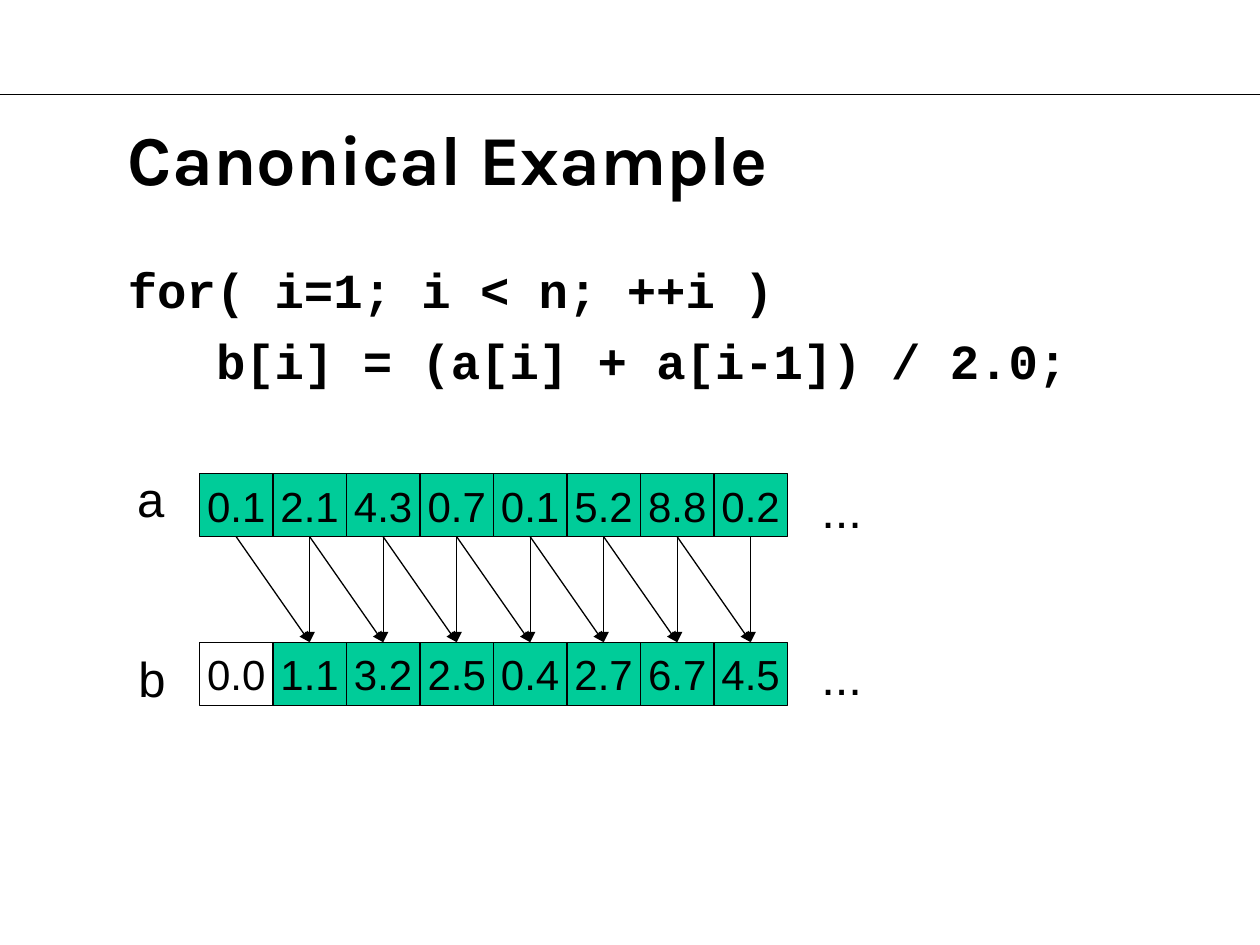
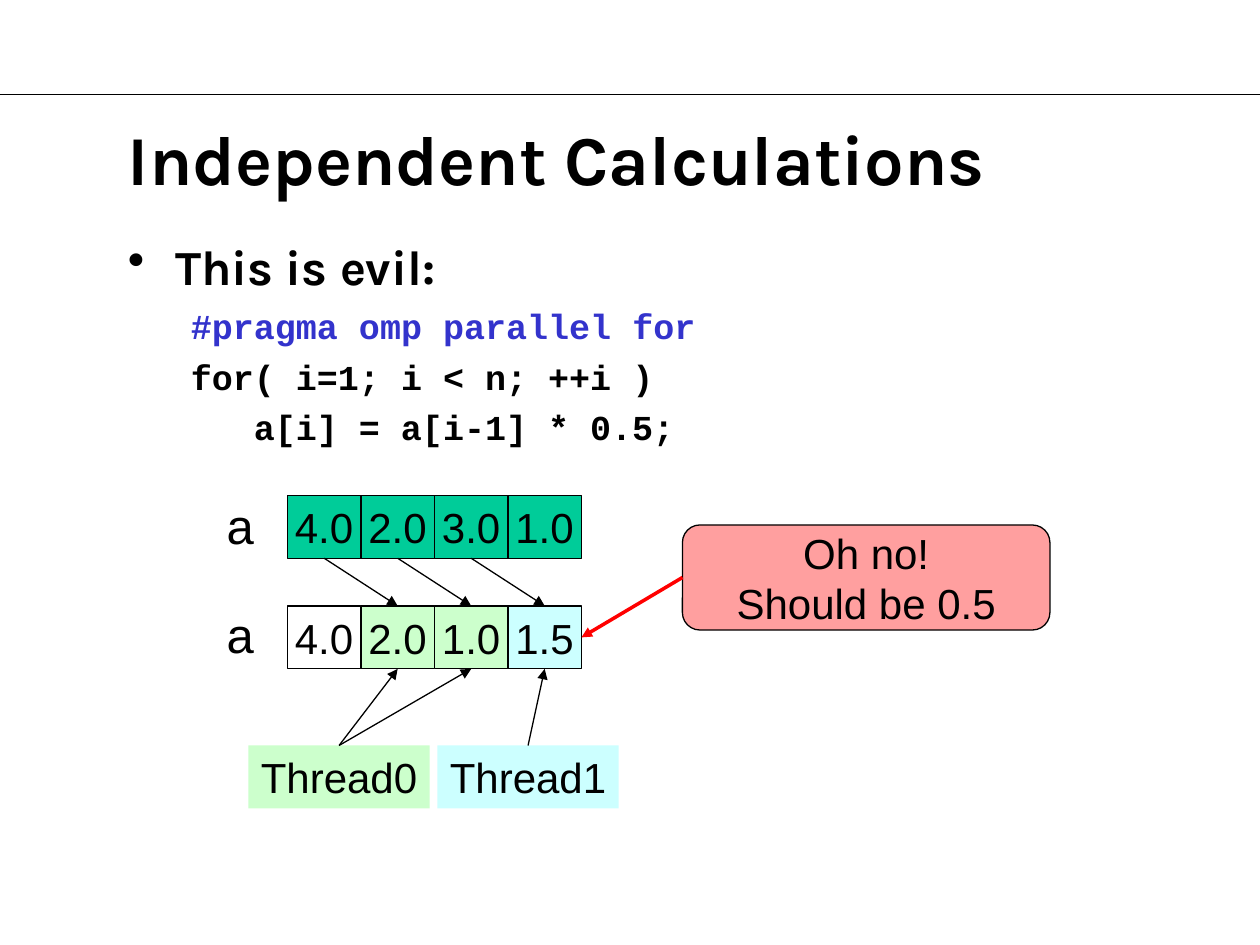
from dataclasses import dataclass

from lxml.etree import SubElement
from pptx import Presentation
from pptx.dml.color import RGBColor
from pptx.enum.shapes import MSO_CONNECTOR, MSO_SHAPE
from pptx.enum.text import MSO_ANCHOR, PP_ALIGN
from pptx.oxml.ns import qn
from pptx.shapes.autoshape import Shape
from pptx.slide import Slide
from pptx.util import Pt


@dataclass(frozen=True)
class Theme:
    ink: str = "000000"
    directive: str = "3333CC"
    teal: str = "00CC99"
    thread0: str = "CCFFCC"
    thread1: str = "CCFFFF"
    warning: str = "FF9F9F"
    alert: str = "FF0000"
    heading_font: str = "Karla"
    code_font: str = "Courier New"
    label_font: str = "Arial"
    title_size: float = 40
    large_size: float = 28
    value_size: float = 24
    code_size: float = 20
    thin: float = 0.75
    thick: float = 2


THEME = Theme()
CELL_WIDTH, CELL_HEIGHT = 42, 36
BODY_LEFT, BODY_TOP, BODY_WIDTH = 66, 131.75, 576
CODE_CHAR_RATIO = 0.6  # advance of one monospaced letter, in ems
CODE_INDENT = 3        # letters per nesting level

Point = tuple[float, float]


@dataclass(frozen=True)
class Line:
    text: str
    size: float
    font: str = THEME.label_font
    color: str = THEME.ink
    bold: bool = False
    margin: float = 0
    before: float = 0
    bullet: str = ""
    hanging: float = 0


@dataclass(frozen=True)
class Array:
    name: str
    label: Point
    left: float
    top: float
    values: list[str]
    fills: list[str | None]

    def top_of(self, index: int) -> Point:
        return self.left + (index + 0.5) * CELL_WIDTH, self.top

    def bottom_of(self, index: int) -> Point:
        x, y = self.top_of(index)
        return x, y + CELL_HEIGHT


def rgb(color: str) -> RGBColor:
    return RGBColor.from_string(color)


def write(shape: Shape, lines: list[Line], align: PP_ALIGN = PP_ALIGN.LEFT,
          anchor: MSO_ANCHOR = MSO_ANCHOR.TOP, wrap: bool = False) -> None:
    frame = shape.text_frame
    frame.word_wrap = wrap
    frame.vertical_anchor = anchor
    for number, line in enumerate(lines):
        para = frame.add_paragraph() if number else frame.paragraphs[0]
        para.text = line.text
        para.alignment = align
        para.space_before = Pt(line.before)
        font = para.font
        font.name, font.size, font.bold = line.font, Pt(line.size), line.bold
        font.color.rgb = rgb(line.color)
        properties = para._p.get_or_add_pPr()
        properties.set("marL", str(Pt(line.margin)))
        properties.set("indent", str(Pt(-line.hanging)))
        if line.bullet:
            mark = SubElement(properties, qn("a:buChar"), char=line.bullet)
            properties.remove(mark)
            properties.insert_element_before(mark, "a:tabLst", "a:defRPr", "a:extLst")


def add_text(page: Slide, left: float, top: float, width: float, height: float,
             lines: list[Line], anchor: MSO_ANCHOR = MSO_ANCHOR.TOP,
             wrap: bool = False) -> None:
    box = page.shapes.add_textbox(Pt(left), Pt(top), Pt(width), Pt(height))
    write(box, lines, anchor=anchor, wrap=wrap)


def add_block(page: Slide, left: float, top: float, width: float, height: float,
              texts: list[str], fill: str | None, outlined: bool = True,
              kind: MSO_SHAPE = MSO_SHAPE.RECTANGLE) -> None:
    block = page.shapes.add_shape(kind, Pt(left), Pt(top), Pt(width), Pt(height))
    block.shadow.inherit = False
    if fill:
        block.fill.solid()
        block.fill.fore_color.rgb = rgb(fill)
    else:
        block.fill.background()
    if outlined:
        block.line.color.rgb = rgb(THEME.ink)
        block.line.width = Pt(THEME.thin)
    else:
        block.line.fill.background()
    write(block, [Line(text, THEME.value_size) for text in texts],
          PP_ALIGN.CENTER, MSO_ANCHOR.MIDDLE)


def add_line(page: Slide, start: Point, end: Point, color: str = THEME.ink,
             width: float = THEME.thin, arrow: bool = True) -> None:
    line = page.shapes.add_connector(MSO_CONNECTOR.STRAIGHT,
                                     *(Pt(value) for value in start + end))
    line.line.color.rgb = rgb(color)
    line.line.width = Pt(width)
    if arrow:
        SubElement(line.line._get_or_add_ln(), qn("a:tailEnd"), type="triangle")
    SubElement(line._element.spPr, qn("a:effectLst"))


def add_array(page: Slide, array: Array) -> None:
    for index, (value, fill) in enumerate(zip(array.values, array.fills)):
        add_block(page, array.left + index * CELL_WIDTH, array.top,
                  CELL_WIDTH, CELL_HEIGHT, [value], fill)
    add_text(page, *array.label, 29.5, 41, [Line(array.name, THEME.large_size)])


def add_page(deck: Presentation, title: str) -> Slide:
    """Add a blank page with the header rule and its title."""
    page = deck.slides.add_slide(deck.slide_layouts[6])
    add_line(page, (0, 54), (720, 54), arrow=False)
    add_text(page, BODY_LEFT, 54, BODY_WIDTH, 72,
             [Line(title, THEME.title_size, THEME.heading_font, bold=True)],
             MSO_ANCHOR.MIDDLE, wrap=True)
    return page


def code(text: str, size: float, level: int = 0, margin: float = 0,
         color: str = THEME.ink) -> Line:
    nesting = level * CODE_INDENT * CODE_CHAR_RATIO * size
    return Line(text, size, THEME.code_font, color, True, margin + nesting, size / 4)


def build_canonical_example(deck: Presentation) -> None:
    page = add_page(deck, "Canonical Example")
    lead = 13
    add_text(page, BODY_LEFT, BODY_TOP + lead, BODY_WIDTH, 150 - lead, [
        code("for( i=1; i < n; ++i )", THEME.large_size),
        code("b[i] = (a[i] + a[i-1]) / 2.0;", THEME.large_size, level=1),
    ], wrap=True)

    source = Array("a", (71.25, 264.25), 114, 270.75,
                   ["0.1", "2.1", "4.3", "0.7", "0.1", "5.2", "8.8", "0.2"],
                   [THEME.teal] * 8)
    result = Array("b", (72, 367.2), 114, 367.0,
                   ["0.0", "1.1", "3.2", "2.5", "0.4", "2.7", "6.7", "4.5"],
                   [None] + [THEME.teal] * 7)
    for array in (source, result):
        add_array(page, array)
    for index in range(1, len(result.values)):
        for used in (index - 1, index):
            add_line(page, source.bottom_of(used), result.top_of(index))
    for top in (270.75, 366):
        add_text(page, 462.25, top, 37.5, 41, [Line("...", THEME.large_size)])


def build_independent_calculations(deck: Presentation) -> None:
    page = add_page(deck, "Independent Calculations")
    size, margin = THEME.code_size, 36
    add_text(page, BODY_LEFT, BODY_TOP, BODY_WIDTH, 312, [
        Line("This is evil:", THEME.large_size, THEME.heading_font, bold=True,
             margin=27, before=7, bullet="•", hanging=27),
        code("#pragma omp parallel for", size, margin=margin, color=THEME.directive),
        code("for( i=1; i < n; ++i )", size, margin=margin),
        code("a[i] = a[i-1] * 0.5;", size, level=1, margin=margin),
    ], wrap=True)

    before = Array("a", (122.4, 279.4), 164.25, 283,
                   ["4.0", "2.0", "3.0", "1.0"], [THEME.teal] * 4)
    after = Array("a", (122.4, 342), 164.25, 346.25,
                  ["4.0", "2.0", "1.0", "1.5"],
                  [None, THEME.thread0, THEME.thread0, THEME.thread1])
    for array in (before, after):
        add_array(page, array)
    for index in range(1, len(after.values)):
        add_line(page, before.bottom_of(index - 1), after.top_of(index))

    thread_top, thread_width = 426, 103.5
    threads = [("Thread0", 142, THEME.thread0, (1, 2)),
               ("Thread1", 250, THEME.thread1, (3,))]
    for name, left, fill, written in threads:
        add_block(page, left, thread_top, thread_width, CELL_HEIGHT, [name], fill,
                  outlined=False)
        for index in written:
            add_line(page, (left + thread_width / 2, thread_top), after.bottom_of(index))

    add_block(page, 390, 300, 210, 60, ["Oh no!", "Should be 0.5"], THEME.warning,
              kind=MSO_SHAPE.ROUNDED_RECTANGLE)
    wrong_x = after.left + len(after.values) * CELL_WIDTH
    add_line(page, (390, 330), (wrong_x, after.top + CELL_HEIGHT / 2),
             THEME.alert, THEME.thick)


def main() -> None:
    deck = Presentation()
    deck.slide_width, deck.slide_height = Pt(720), Pt(540)
    build_canonical_example(deck)
    build_independent_calculations(deck)
    deck.save("out.pptx")


if __name__ == "__main__":
    main()
